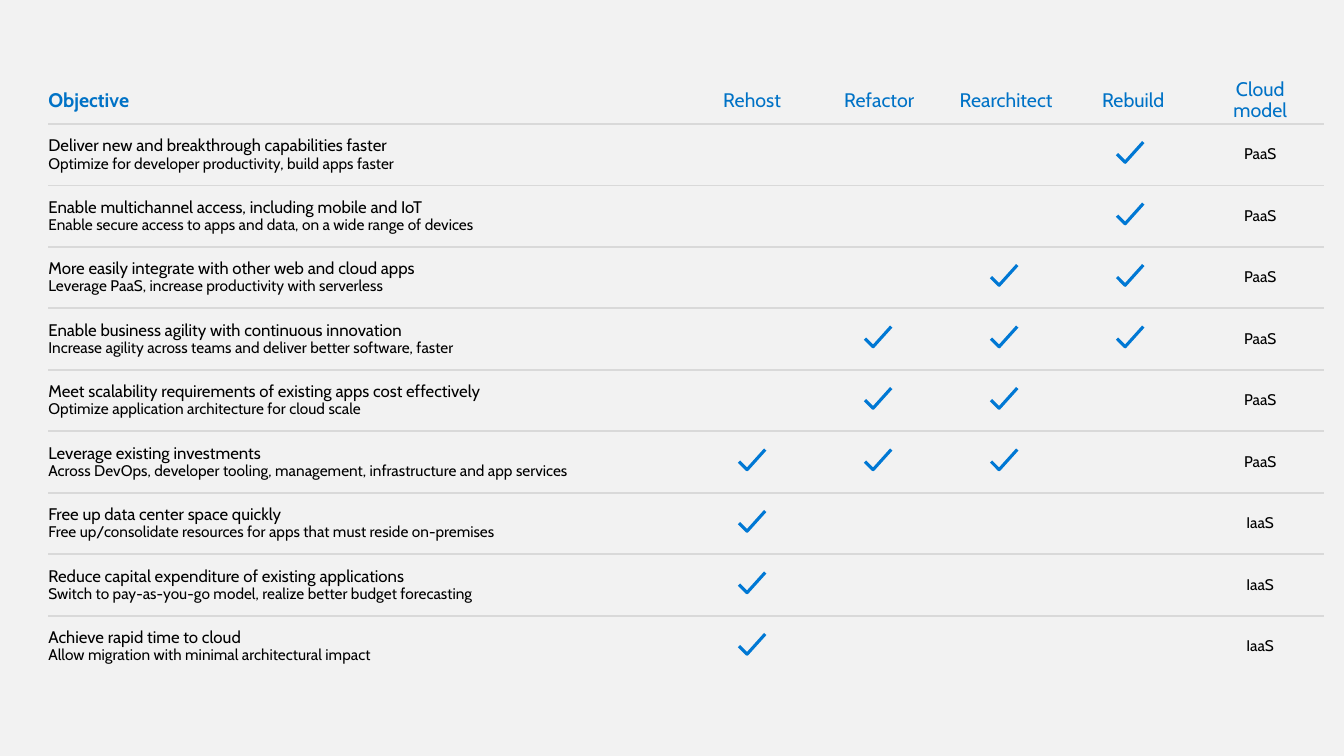
import pptx
import pptx.util
import pptx.dml.color
import pptx.enum.text
import pptx.oxml
import pptx.oxml.ns

HEADERS = ["Objective", "Rehost", "Refactor", "Rearchitect", "Rebuild", "Cloud\nmodel"]
# objective, explanation, approaches that meet it, cloud model
OBJECTIVES = [
    ("Deliver new and breakthrough capabilities faster",
     "Optimize for developer productivity, build apps faster",
     ["Rebuild"], "PaaS"),
    ("Enable multichannel access, including mobile and IoT",
     "Enable secure access to apps and data, on a wide range of devices",
     ["Rebuild"], "PaaS"),
    ("More easily integrate with other web and cloud apps",
     "Leverage PaaS, increase productivity with serverless",
     ["Rearchitect", "Rebuild"], "PaaS"),
    ("Enable business agility with continuous innovation",
     "Increase agility across teams and deliver better software, faster",
     ["Refactor", "Rearchitect", "Rebuild"], "PaaS"),
    ("Meet scalability requirements of existing apps cost effectively",
     "Optimize application architecture for cloud scale",
     ["Refactor", "Rearchitect"], "PaaS"),
    ("Leverage existing investments",
     "Across DevOps, developer tooling, management, infrastructure and app services",
     ["Rehost", "Refactor", "Rearchitect"], "PaaS"),
    ("Free up data center space quickly",
     "Free up/consolidate resources for apps that must reside on-premises",
     ["Rehost"], "IaaS"),
    ("Reduce capital expenditure of existing applications",
     "Switch to pay-as-you-go model, realize better budget forecasting",
     ["Rehost"], "IaaS"),
    ("Achieve rapid time to cloud",
     "Allow migration with minimal architectural impact",
     ["Rehost"], "IaaS"),
]

FONT = "Cabin"
BACKGROUND, HEADING, BODY = "F2F2F2", "0072C6", "000000"
RULE, CHECK = "D9D9D9", "0078D4"
NO_STYLE = "{2D5ABB26-0587-4C30-8999-92F81FD0307C}"

TABLE_LEFT, TABLE_TOP = 0.48, 0.77
OBJECTIVE_WIDTH, COLUMN_WIDTH = 6.35, 1.26
HEADER_HEIGHT, ROW_HEIGHT = 0.46, 0.61
CHECK_LEFT, CHECK_TOP, CHECK_STEP = 7.33, 1.41, 1.25
CHECK_POINTS = [(0.26, 0), (0.08, 0.2), (0, 0.12)]

inches = pptx.util.Inches


def color(value):
    return pptx.dml.color.RGBColor.from_string(value)


def write(cell, lines, text_color, bold=False, centered=False):
    """Fill a cell with (text, size) paragraphs."""
    for index, (text, size) in enumerate(lines):
        frame = cell.text_frame
        paragraph = frame.add_paragraph() if index else frame.paragraphs[0]
        paragraph.line_spacing = 0.9
        if centered:
            paragraph.alignment = pptx.enum.text.PP_ALIGN.CENTER
        for part_index, part in enumerate(text.split("\n")):
            if part_index:
                paragraph.add_line_break()
            run = paragraph.add_run()
            run.text = part
            run.font.name = FONT
            run.font.size = pptx.util.Pt(size)
            run.font.bold = bold
            run.font.color.rgb = color(text_color)


def format_cell(cell, ruled):
    cell.margin_left = cell.margin_right = cell.margin_top = cell.margin_bottom = 0
    cell.vertical_anchor = pptx.enum.text.MSO_ANCHOR.MIDDLE
    cell.fill.background()
    if ruled:
        border = pptx.oxml.parse_xml(
            f'<a:lnB {pptx.oxml.ns.nsdecls("a")} w="{pptx.util.Pt(1.5)}">'
            f'<a:solidFill><a:srgbClr val="{RULE}"/></a:solidFill></a:lnB>')
        cell.fill._xPr.insert(0, border)


def add_table(slide):
    row_count = len(OBJECTIVES) + 1
    widths = [OBJECTIVE_WIDTH] + [COLUMN_WIDTH] * (len(HEADERS) - 1)
    heights = [HEADER_HEIGHT] + [ROW_HEIGHT] * len(OBJECTIVES)
    frame = slide.shapes.add_table(
        row_count, len(HEADERS), inches(TABLE_LEFT), inches(TABLE_TOP),
        inches(sum(widths)), inches(sum(heights)))
    frame.element.find(".//" + pptx.oxml.ns.qn("a:tableStyleId")).text = NO_STYLE
    table = frame.table
    table.first_row = table.horz_banding = False
    for column, width in zip(table.columns, widths):
        column.width = inches(width)
    for row_index, (row, height) in enumerate(zip(table.rows, heights)):
        row.height = inches(height)
        for cell in row.cells:
            format_cell(cell, ruled=row_index < row_count - 1)

    for index, header in enumerate(HEADERS):
        write(table.cell(0, index), [(header, 14)], HEADING,
              bold=index == 0, centered=index > 0)
    for index, (objective, explanation, _, model) in enumerate(OBJECTIVES, 1):
        write(table.cell(index, 0), [(objective, 12), (explanation, 11)], BODY)
        write(table.cell(index, len(HEADERS) - 1), [(model, 11)], BODY, centered=True)


def add_check(shapes, left, top):
    points = [(inches(left + x), inches(top + y)) for x, y in CHECK_POINTS]
    builder = shapes.build_freeform(*points[0])
    builder.add_line_segments(points[1:], close=False)
    check = builder.convert_to_shape()
    check.shadow.inherit = False
    check.fill.background()
    check.line.color.rgb = color(CHECK)
    check.line.width = pptx.util.Pt(2.25)


def main():
    presentation = pptx.Presentation()
    presentation.slide_width = inches(13.33)
    presentation.slide_height = inches(7.5)
    slide = presentation.slides.add_slide(presentation.slide_layouts[6])
    slide.background.fill.solid()
    slide.background.fill.fore_color.rgb = color(BACKGROUND)

    add_table(slide)
    checks = slide.shapes.add_group_shape()
    for row, (_, _, approaches, _) in enumerate(OBJECTIVES):
        for approach in approaches:
            column = HEADERS.index(approach) - 1
            add_check(checks.shapes, CHECK_LEFT + column * CHECK_STEP,
                      CHECK_TOP + row * ROW_HEIGHT)
    presentation.save("out.pptx")


if __name__ == "__main__":
    main()
